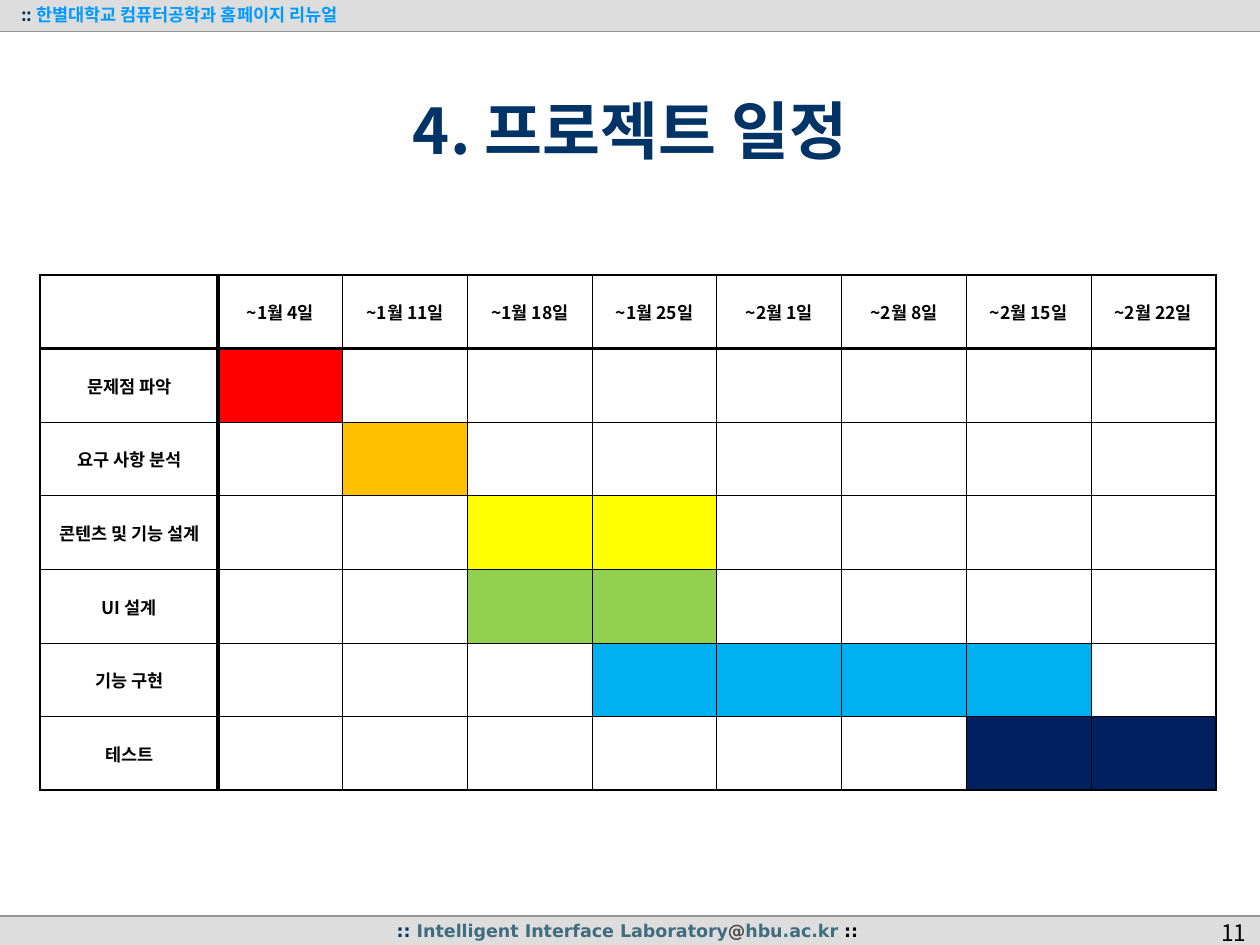
from lxml.etree import SubElement
from pptx import Presentation
from pptx.dml.color import RGBColor
from pptx.enum.shapes import MSO_CONNECTOR, MSO_SHAPE
from pptx.enum.text import MSO_ANCHOR, MSO_AUTO_SIZE, PP_ALIGN
from pptx.oxml.ns import qn
from pptx.util import Inches, Pt

COLORS = {
    "black": "000000", "navy": "003366", "sky": "0099FF", "teal": "3F6C7E",
    "dark_grey": "4D4D4D", "band": "DDDDDD", "rule": "969696",
    "red": "FF0000", "orange": "FFC000", "yellow": "FFFF00",
    "green": "92D050", "blue": "00B0F0", "midnight": "002060",
}
KOREAN, LATIN = "Noto Sans CJK KR", "DejaVu Sans"

HEADER = [("::", "navy"), (" 한별대학교 컴퓨터공학과 홈페이지 리뉴얼", "sky")]
FOOTER = [(":: ", "navy"), ("Intelligent Interface Laboratory", "teal"),
          ("@", "dark_grey"), ("hbu.ac.kr ", "teal"), ("::", "black")]
TITLE = [("4. 프로젝트 일정", "navy")]
PAGE_NUMBER = [("11", "black")]

DEADLINES = ["~1월 4일", "~1월 11일", "~1월 18일", "~1월 25일",
             "~2월 1일", "~2월 8일", "~2월 15일", "~2월 22일"]
# task, first week, last week, color
TASKS = [
    ("문제점 파악", 1, 1, "red"),
    ("요구 사항 분석", 2, 2, "orange"),
    ("콘텐츠 및 기능 설계", 3, 4, "yellow"),
    ("UI 설계", 3, 4, "green"),
    ("기능 구현", 4, 7, "blue"),
    ("테스트", 7, 8, "midnight"),
]
TASK_WIDTH, WEEK_WIDTH, ROW_HEIGHT = 1.41, 0.99, 0.585
THIN, OUTER, HEADING = 0.5, 1.5, 2


def rgb(name):
    return RGBColor.from_string(COLORS[name])


def write(para, spans, size, font=KOREAN, bold=True):
    for text, color in spans:
        span = para.add_run()
        span.text = text
        span.font.size = Pt(size)
        span.font.bold = bold
        span.font.name = font
        span.font.color.rgb = rgb(color)
        SubElement(span.font._element, qn("a:ea"), typeface=font)


def add_text(page, place, spans, size, font=KOREAN, bold=True,
             align=PP_ALIGN.LEFT, anchor=MSO_ANCHOR.TOP, wrap=True):
    box = page.shapes.add_textbox(*map(Inches, place))
    frame = box.text_frame
    frame.word_wrap = wrap
    frame.auto_size = MSO_AUTO_SIZE.NONE if wrap else MSO_AUTO_SIZE.SHAPE_TO_FIT_TEXT
    frame.vertical_anchor = anchor
    frame.paragraphs[0].alignment = align
    write(frame.paragraphs[0], spans, size, font, bold)


def add_band(page, top, rule_top):
    """Add a full-width grey band with a thin rule along one edge."""
    band = page.shapes.add_shape(MSO_SHAPE.RECTANGLE, 0, Inches(top), Inches(10), Inches(0.25))
    band.shadow.inherit = False
    band.fill.solid()
    band.fill.fore_color.rgb = rgb("band")
    band.line.fill.background()
    rule = page.shapes.add_connector(MSO_CONNECTOR.STRAIGHT, 0, Inches(rule_top),
                                     Inches(10), Inches(rule_top))
    rule.line.color.rgb = rgb("rule")
    rule.line.width = Pt(0.75)
    SubElement(rule._element.spPr, qn("a:effectLst"))


def border_cell(cell, widths):
    """Draw black borders; widths run left, right, top, bottom in points."""
    properties = cell._tc.get_or_add_tcPr()
    for index, (side, width) in enumerate(zip("LRTB", widths)):
        line = properties.makeelement(qn(f"a:ln{side}"), {"w": str(Pt(width))})
        fill = SubElement(line, qn("a:solidFill"))
        SubElement(fill, qn("a:srgbClr"), val=COLORS["black"])
        properties.insert(index, line)


def edge_widths(count):
    """Give line widths along one axis: outer edges, heading edge, thin rest."""
    return [OUTER, HEADING] + [THIN] * (count - 2) + [OUTER]


def label_cell(cell, text):
    cell.vertical_anchor = MSO_ANCHOR.MIDDLE
    cell.margin_left = cell.margin_right = cell.margin_top = Inches(0.01)
    cell.margin_bottom = 0
    para = cell.text_frame.paragraphs[0]
    para.alignment = PP_ALIGN.CENTER
    write(para, [(text, "black")], 10)


def add_schedule(page):
    row_count, column_count = len(TASKS) + 1, len(DEADLINES) + 1
    table = page.shapes.add_table(
        row_count, column_count, Inches(0.32), Inches(2.18),
        Inches(TASK_WIDTH + WEEK_WIDTH * len(DEADLINES)),
        Inches(ROW_HEIGHT * row_count)).table
    table.first_row = table.horz_banding = False
    for index, column in enumerate(table.columns):
        column.width = Inches(WEEK_WIDTH if index else TASK_WIDTH)
    for row in table.rows:
        row.height = Inches(ROW_HEIGHT)

    across, down = edge_widths(column_count), edge_widths(row_count)
    for row in range(row_count):
        for column in range(column_count):
            cell = table.cell(row, column)
            cell.fill.background()
            border_cell(cell, across[column:column + 2] + down[row:row + 2])

    for week, deadline in enumerate(DEADLINES, 1):
        label_cell(table.cell(0, week), deadline)
    for row, (task, first, last, color) in enumerate(TASKS, 1):
        label_cell(table.cell(row, 0), task)
        for week in range(first, last + 1):
            fill = table.cell(row, week).fill
            fill.solid()
            fill.fore_color.rgb = rgb(color)


def main():
    deck = Presentation()
    deck.slide_width, deck.slide_height = Inches(10), Inches(7.5)
    page = deck.slides.add_slide(deck.slide_layouts[6])
    add_band(page, 0, 0.25)
    add_text(page, (0.07, -0.02, 2.81, 0.27), HEADER, 10, wrap=False)
    add_band(page, 7.27, 7.27)
    add_text(page, (3.05, 7.25, 3.92, 0.27), FOOTER, 10, LATIN, wrap=False)
    add_text(page, (0.75, 0.5, 8.5, 1.05), TITLE, 36,
             align=PP_ALIGN.CENTER, anchor=MSO_ANCHOR.MIDDLE)
    add_text(page, (7.91, 7.24, 2.08, 0.26), PAGE_NUMBER, 13,
             bold=False, align=PP_ALIGN.RIGHT)
    add_schedule(page)
    deck.save("out.pptx")


if __name__ == "__main__":
    main()
